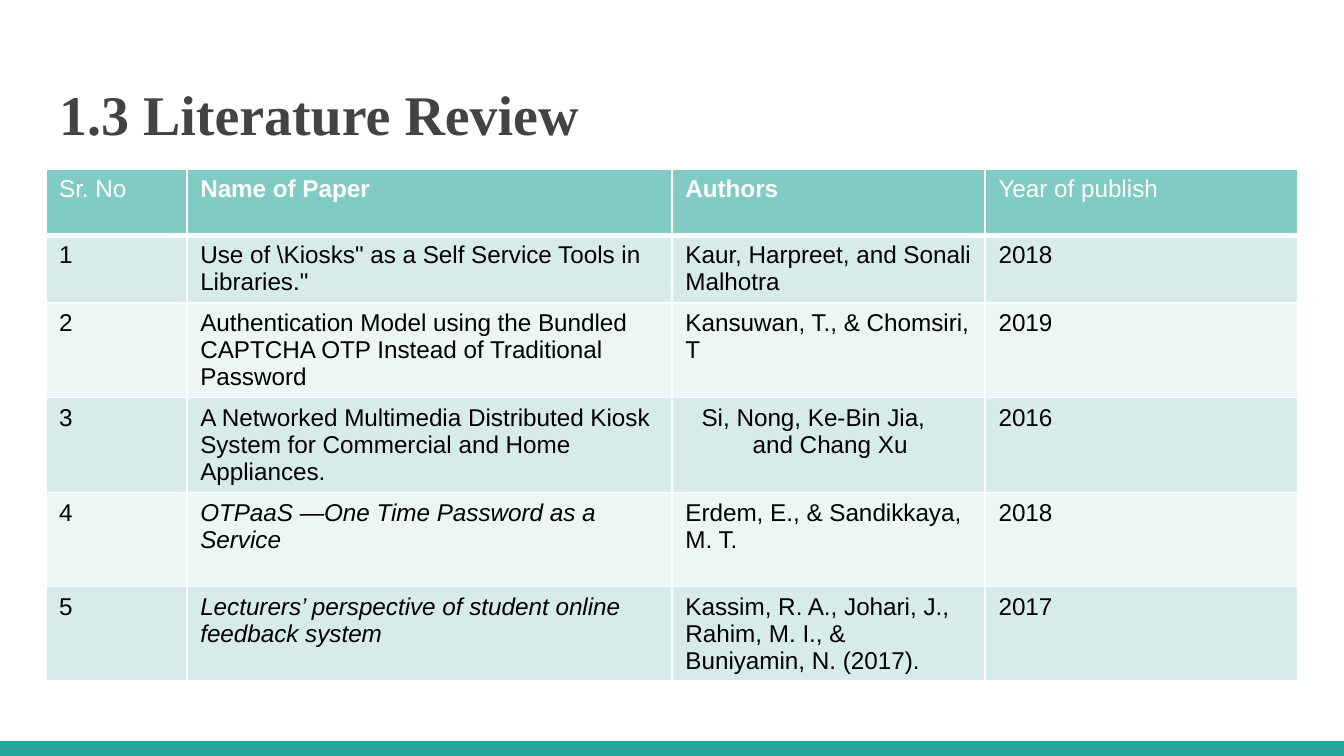
"""Build the literature review slide."""
from lxml import etree
from pptx import Presentation
from pptx import util as u
from pptx.dml.color import RGBColor
from pptx.enum import shapes, text
from pptx.oxml import ns

W, H = u.Inches(10), u.Inches(5.625)
MARGIN = u.Inches(0.34)
COLORS = {"bar": "26A69A", "title": "434343", "header": "80CBC4", "odd": "D7ECEA",
          "even": "ECF6F5", "white": "FFFFFF", "ink": "000000"}
COL_WIDTHS = [1.05, 3.61, 2.33, 2.33]
ROW_HEIGHTS = [0.49] * 2 + [0.7] * 4
HEADERS = ["Sr. No", "Name of Paper", "Authors", "Year of publish"]
BOLD_HEADERS = {"Name of Paper", "Authors"}
PAPERS = [
    ("Use of \\Kiosks\" as a Self Service Tools in Libraries.\"",
     "Kaur, Harpreet, and Sonali Malhotra", "2018"),
    ("Authentication Model using the Bundled CAPTCHA OTP Instead of Traditional Password",
     "Kansuwan, T., & Chomsiri, T", "2019"),
    ("A Networked Multimedia Distributed Kiosk System for Commercial and Home Appliances.",
     "Si, Nong, Ke-Bin Jia, and Chang Xu", "2016"),
    ("OTPaaS —One Time Password as a Service",
     "Erdem, E., & Sandikkaya, M. T.", "2018"),
    ("Lecturers’ perspective of student online feedback system",
     "Kassim, R. A., Johari, J., Rahim, M. I., & Buniyamin, N. (2017).", "2017"),
]
ITALIC_CELLS = {(4, 1), (5, 1)}
INDENTED_CELL = (3, 2)


def rgb(name):
    """Look up a colour of the palette."""
    return RGBColor.from_string(COLORS[name])


def add_run(p, words, size, color, font="Arial", bold=False, italic=False):
    """Append a formatted run to a paragraph."""
    r = p.add_run()
    r.text = words
    f = r.font
    f.name, f.size, f.bold, f.italic = font, u.Pt(size), bold, italic
    f.color.rgb = rgb(color)


def add_bar(s):
    """Draw the band along the bottom edge."""
    height = u.Inches(0.11)
    sp = s.shapes.add_shape(shapes.MSO_SHAPE.RECTANGLE, 0, H - height, W, height)
    sp.shadow.inherit = False
    sp.fill.solid()
    sp.fill.fore_color.rgb = rgb("bar")
    sp.line.fill.background()


def set_title(s, words):
    """Place and format the title placeholder."""
    sp = s.shapes.title
    sp.left, sp.top = MARGIN, u.Inches(0.49)
    sp.width, sp.height = W - 2 * MARGIN, u.Inches(0.67)
    tf = sp.text_frame
    tf.margin_left = tf.margin_right = tf.margin_top = tf.margin_bottom = u.Inches(0.1)
    tf.vertical_anchor = text.MSO_ANCHOR.TOP
    tf.auto_size = text.MSO_AUTO_SIZE.NONE
    tf.word_wrap = True
    p = tf.paragraphs[0]
    p.alignment = text.PP_ALIGN.LEFT
    add_run(p, words, 30, "title", "Times New Roman", bold=True)


def set_borders(cell, **widths):
    """Give a cell white borders of the given widths in points."""
    tcPr = cell._tc.get_or_add_tcPr()
    for side in "LRTB":
        ln = etree.SubElement(tcPr, ns.qn(f"a:ln{side}"), w=str(u.Pt(widths.get(side, 1))))
        fill = etree.SubElement(ln, ns.qn("a:solidFill"))
        etree.SubElement(fill, ns.qn("a:srgbClr"), val=COLORS["white"])


def fill_cell(cell, row, col, words):
    """Format one cell and write its text."""
    header = row == 0
    set_borders(cell, T=3 if row == 1 else 1, B=3 if header else 1)
    cell.fill.solid()
    cell.fill.fore_color.rgb = rgb("header" if header else "odd" if row % 2 else "even")
    cell.margin_left = cell.margin_right = u.Inches(0.1)
    cell.margin_top = cell.margin_bottom = u.Inches(0.05)
    p = cell.text_frame.paragraphs[0]
    if (row, col) == INDENTED_CELL:
        pPr = p._p.get_or_add_pPr()
        pPr.set("marL", str(u.Inches(0.5)))
        pPr.set("indent", str(u.Inches(-0.38)))
    add_run(p, words, 13, "white" if header else "ink",
            bold=words in BOLD_HEADERS, italic=(row, col) in ITALIC_CELLS)


def add_review_table(s):
    """Add the table of reviewed papers."""
    rows = [HEADERS] + [(str(n), *paper) for n, paper in enumerate(PAPERS, 1)]
    table = s.shapes.add_table(len(rows), len(HEADERS), MARGIN, u.Inches(1.26),
                               u.Inches(sum(COL_WIDTHS)), u.Inches(sum(ROW_HEIGHTS))).table
    for column, width in zip(table.columns, COL_WIDTHS):
        column.width = u.Inches(width)
    for i, (row, height) in enumerate(zip(rows, ROW_HEIGHTS)):
        table.rows[i].height = u.Inches(height)
        for j, words in enumerate(row):
            fill_cell(table.cell(i, j), i, j, words)


def main():
    """Assemble and save the slide."""
    prs = Presentation()
    prs.slide_width, prs.slide_height = W, H
    s = prs.slides.add_slide(prs.slide_layouts[5])
    add_bar(s)
    set_title(s, "1.3 Literature Review")
    add_review_table(s)
    prs.save("out.pptx")


if __name__ == "__main__":
    main()
